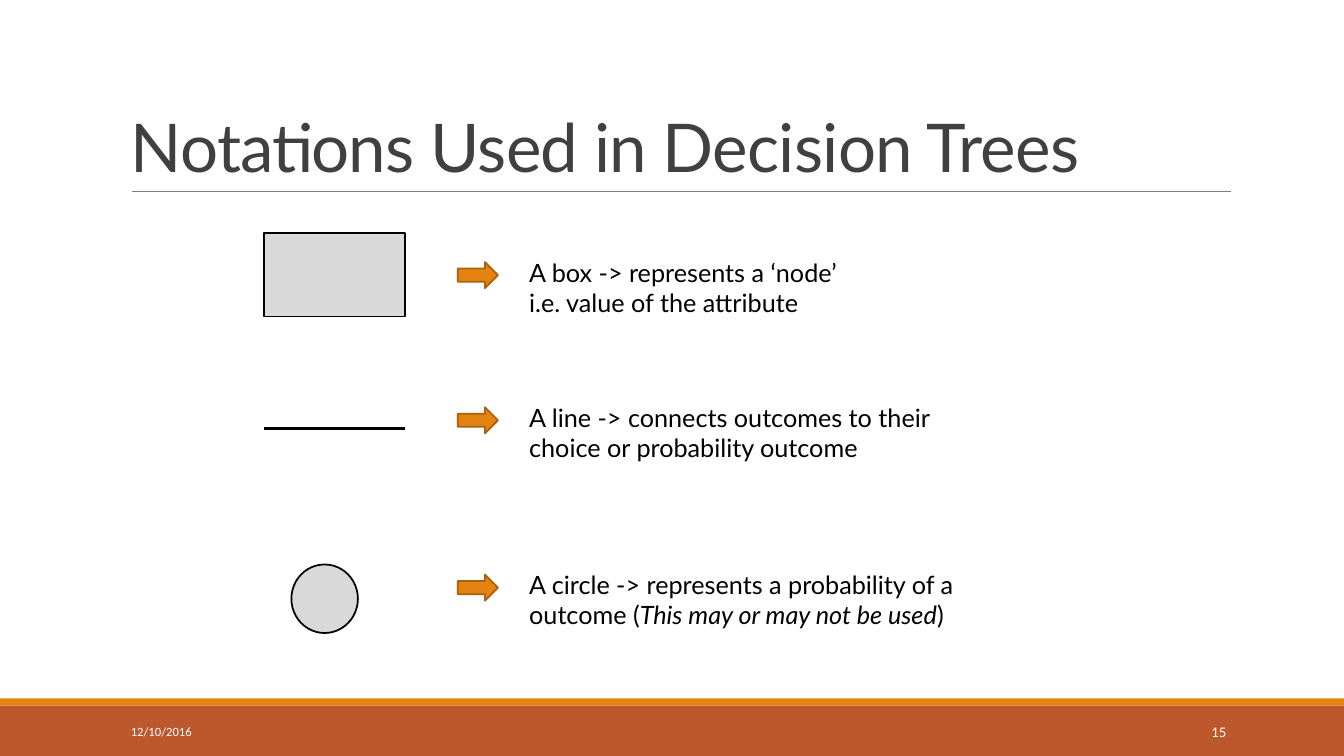
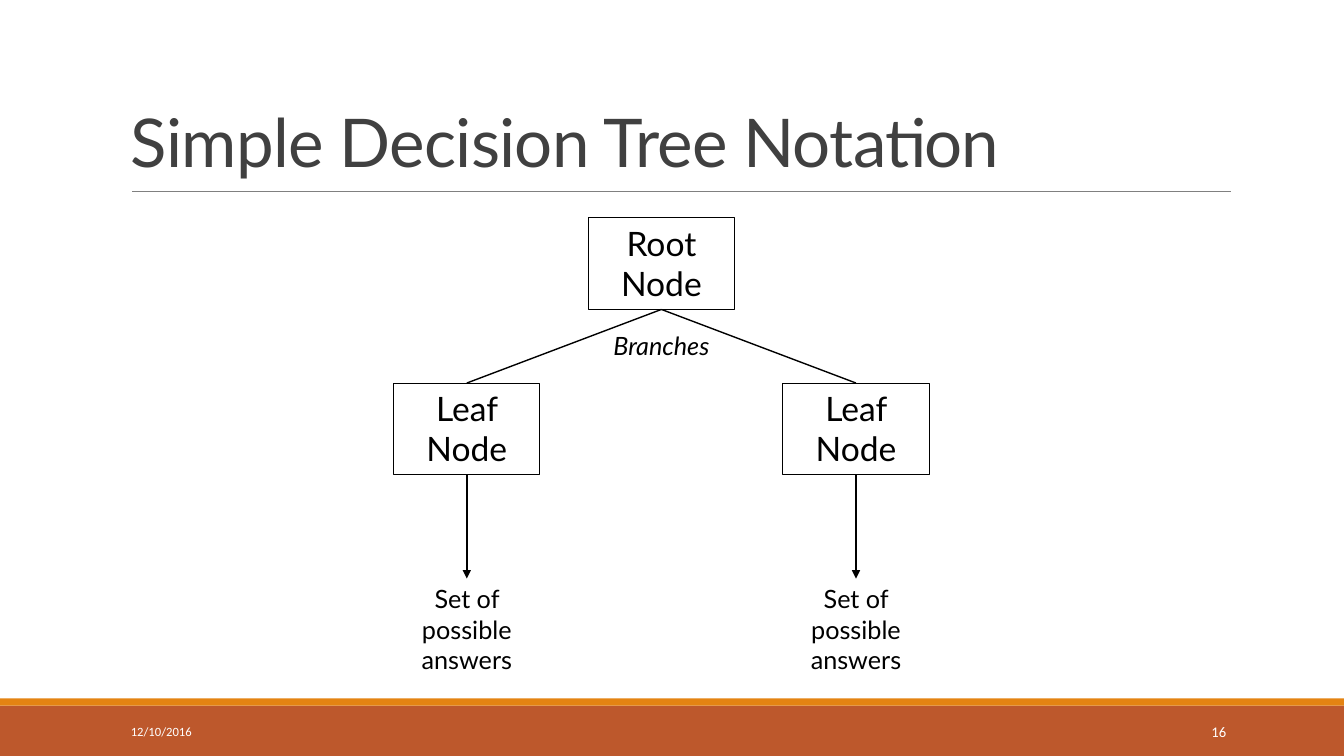
from lxml import etree
from pptx import Presentation, util as u
from pptx.dml import color
from pptx.enum import shapes, text
from pptx.oxml import ns

In = u.Inches
KIND = shapes.MSO_SHAPE
ANCHOR = text.MSO_ANCHOR
ALIGN = text.PP_ALIGN
HUES = {
    "rust": "BD582C", "orange": "E48312", "brown": "A9610D", "rule": "808080",
    "title": "404040", "gray": "D9D9D9", "black": "000000", "white": "FFFFFF",
}
WIDE, HIGH = 13.33, 7.5


def hue(name):
    return color.RGBColor.from_string(HUES[name])


def write(shape, words, size=18, ink="black", font="Lato",
          align=ALIGN.LEFT, anchor=ANCHOR.TOP):
    """Fill a shape with text: one paragraph a line, italics between stars."""
    frame = shape.text_frame
    frame.word_wrap = True
    frame.vertical_anchor = anchor
    for row, line in enumerate(words.split("\n")):
        para = frame.paragraphs[0] if row == 0 else frame.add_paragraph()
        para.alignment = align
        for part, bit in enumerate(line.split("*")):
            if not bit:
                continue
            run = para.add_run()
            run.text = bit
            run.font.name = font
            run.font.size = u.Pt(size)
            run.font.color.rgb = hue(ink)
            run.font.italic = part % 2 == 1
    return frame


def label(slide, box, words, **style):
    return write(slide.shapes.add_textbox(*map(In, box)), words, **style)


def block(slide, kind, box, fill=None, edge=None, width=1.25):
    shape = slide.shapes.add_shape(kind, *map(In, box))
    shape.shadow.inherit = False
    if fill:
        shape.fill.solid()
        shape.fill.fore_color.rgb = hue(fill)
    else:
        shape.fill.background()
    if edge:
        shape.line.color.rgb = hue(edge)
        shape.line.width = u.Pt(width)
    else:
        shape.line.fill.background()
    return shape


def link(slide, start, end, ink="black", width=1, arrow=False):
    line = slide.shapes.add_connector(
        shapes.MSO_CONNECTOR.STRAIGHT, *map(In, start + end))
    line.line.color.rgb = hue(ink)
    line.line.width = u.Pt(width)
    if arrow:
        etree.SubElement(line.get_or_add_ln(), ns.qn("a:tailEnd"), type="triangle")
    etree.SubElement(line.element.spPr, ns.qn("a:effectLst"))


def base(deck, title, box, number):
    """Add a slide with the shared title style, rule and footer."""
    slide = deck.slides.add_slide(deck.slide_layouts[6])
    # Bands and title rule
    block(slide, KIND.RECTANGLE, (0, 7, WIDE, 0.5), "rust")
    block(slide, KIND.RECTANGLE, (0, 6.93, WIDE, 0.07), "orange")
    link(slide, (1.31, 1.9), (12.21, 1.9), "rule", 0.5)
    # Title
    frame = label(slide, box, title, size=48, ink="title", anchor=ANCHOR.BOTTOM)
    para = frame.paragraphs[0]
    para.line_spacing = 0.85
    para.runs[0].font._element.set("spc", "-50")
    # Date and page number
    foot = dict(ink="white", font="Calibri", anchor=ANCHOR.MIDDLE)
    label(slide, (1.2, 7.06, 2.7, 0.4), "12/10/2016", size=9, **foot)
    label(slide, (10.83, 7.06, 1.43, 0.4), str(number), size=10.5,
          align=ALIGN.RIGHT, **foot)
    return slide


def entry(slide, left, top, words):
    """One legend row: arrow and meaning."""
    block(slide, KIND.RIGHT_ARROW, (left, top + 0.1, 0.4, 0.26), "orange", "brown")
    label(slide, (left + 0.61, top, 4.52, 0.71), words)


def legend(slide, left, top):
    # Symbols
    block(slide, KIND.RECTANGLE, (left, top, 1.4, 0.83), "gray", "black")
    link(slide, (left, top + 1.94), (left + 1.4, top + 1.94), width=2)
    block(slide, KIND.OVAL, (left + 0.27, top + 3.29, 0.66, 0.68), "gray", "black")
    # Meanings
    for drop, words in (
        (0.19, "A box -> represents a ‘node’\ni.e. value of the attribute"),
        (1.63, "A line -> connects outcomes to their choice or probability outcome"),
        (3.29, "A circle -> represents a probability of a outcome "
               "(*This may or may not be used*)"),
    ):
        entry(slide, left + 1.92, top + drop, words)


def node(slide, mid, top, wide, high, words):
    box = (mid - wide / 2, top, wide, high)
    shape = block(slide, KIND.RECTANGLE, box, edge="black", width=0.75)
    write(shape, words, size=24, align=ALIGN.CENTER)


def tree(slide, mid, top):
    wide, high, reach = 1.45, 0.91, 1.93
    leaf, goal = top + 1.64, top + 3.58
    # Root
    node(slide, mid, top, wide, high, "Root Node")
    label(slide, (mid - wide / 2, top + 1.07, wide, 0.4), "*Branches*",
          align=ALIGN.CENTER)
    # Leaves with their answers
    for spot in (mid - reach, mid + reach):
        link(slide, (mid, top + high), (spot, leaf))
        node(slide, spot, leaf, wide, high, "Leaf Node")
        link(slide, (spot, leaf + high), (spot, goal), arrow=True)
        label(slide, (spot - wide / 2, goal, wide, 1.01),
              "Set of possible answers", align=ALIGN.CENTER)


deck = Presentation()
deck.slide_width, deck.slide_height = In(WIDE), In(HIGH)
legend(base(deck, "Notations Used in Decision Trees", (1.2, 0.31, 11, 1.59), 15),
       2.62, 2.31)
tree(base(deck, "Simple Decision Tree Notation", (1.2, 0.61, 11, 1.24), 16),
     6.56, 2.16)
deck.save("out.pptx")
